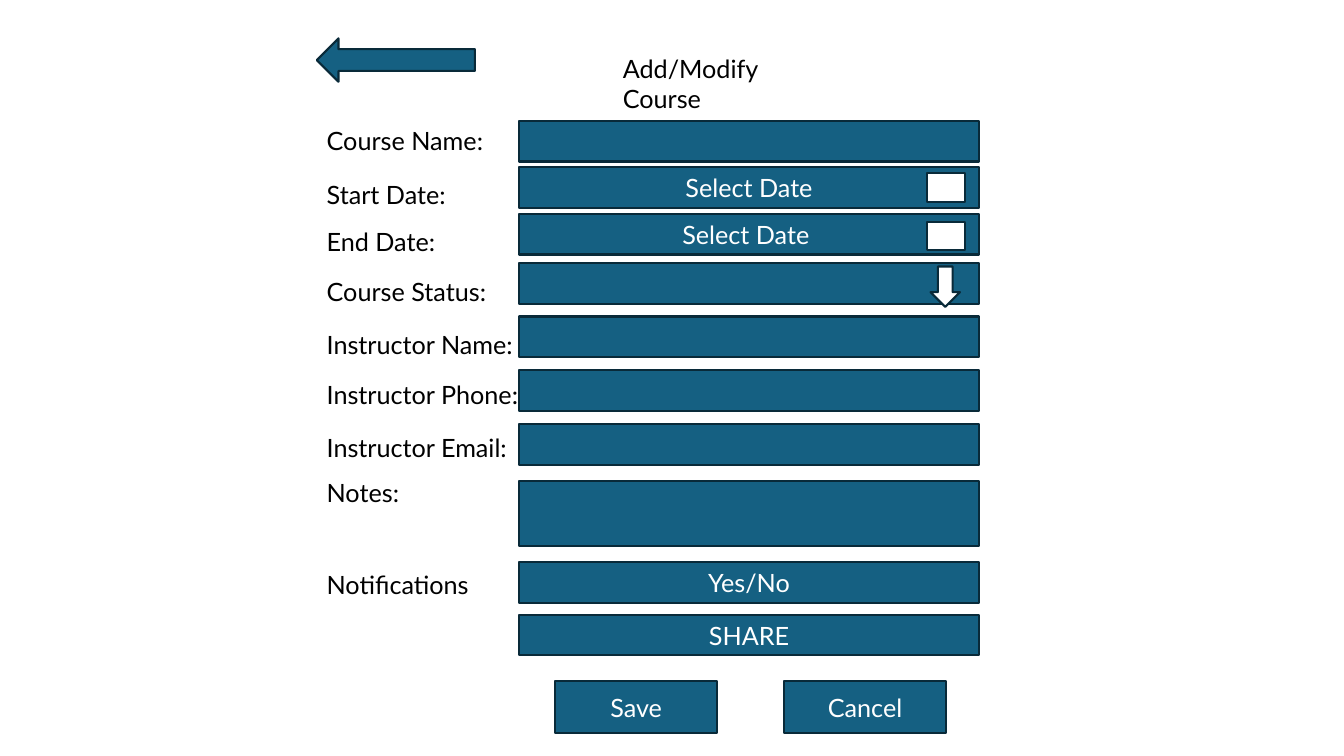
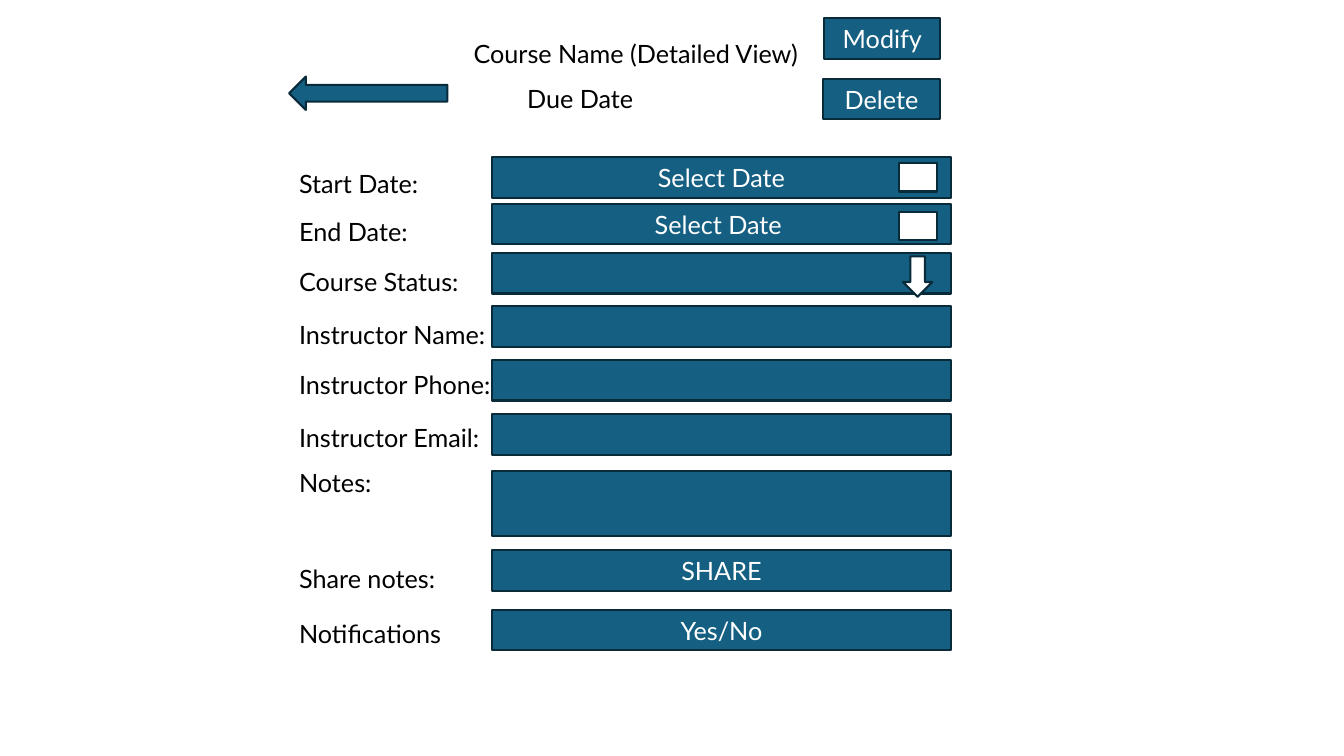
from dataclasses import dataclass

from pptx import Presentation
from pptx.dml.color import RGBColor
from pptx.enum.shapes import MSO_SHAPE
from pptx.enum.text import MSO_ANCHOR, MSO_AUTO_SIZE, PP_ALIGN
from pptx.util import Pt

COLORS = {"field": "156082", "edge": "092A39", "icon": "FFFFFF",
          "light": "FFFFFF", "dark": "000000"}
FONT = "Lato"
FONT_SIZE = 18
FIELD_OFFSET = 144.6
FIELD_WIDTH = 328.3
FIELD_HEIGHT = 29
LABEL_WIDTH = 163.5
LABEL_HEIGHT = 36.7


@dataclass
class Row:
    """One form row; its heights on the page count from the Start Date field."""
    label: str
    label_top: float
    field_top: float
    text: str = ""
    icon: str = ""
    icon_top: float = 0
    height: float = FIELD_HEIGHT


SHARED_ROWS = [
    Row("Start Date:", -4.7, 0, "Select Date", "calendar", 4.3),
    Row("End Date:", 29, 33.3, "Select Date ", "calendar", 5.8),
    Row("Course Status:", 65, 68.4, icon="arrow", icon_top=2.5),
    Row("Instructor Name:", 103, 106.6),
    Row("Instructor Phone:", 138.2, 144.8),
    Row("Instructor Email:", 176.4, 183.6),
    Row("Notes:", 208.8, 223.9, height=46.4),
]
EDIT_ROWS = [
    Row("Course Name:", -43, -33.1),
    *SHARED_ROWS,
    Row("Notifications", 274.5, 282.2, "Yes/No"),
    Row("", 0, 319.7, "SHARE"),
]
DETAIL_ROWS = [
    *SHARED_ROWS,
    Row("Share notes:", 277.2, 280.8, "SHARE"),
    Row("Notifications", 316.1, 323.3, "Yes/No"),
]
ICONS = {
    "calendar": (MSO_SHAPE.RECTANGLE, 291, 27.4, 20.2),
    "arrow": (MSO_SHAPE.DOWN_ARROW, 293.8, 21, 28.8),
}


def rgb(name):
    return RGBColor.from_string(COLORS[name])


def write(shape, text, color, alignment, spacing=None):
    shape.text_frame.word_wrap = True
    para = shape.text_frame.paragraphs[0]
    para.text = text
    para.alignment = alignment
    if spacing:
        para.line_spacing = spacing
    para.font.name = FONT
    para.font.size = Pt(FONT_SIZE)
    para.font.color.rgb = rgb(color)


def add_block(page, kind, left, top, width, height, text="", fill="field"):
    block = page.shapes.add_shape(kind, Pt(left), Pt(top), Pt(width), Pt(height))
    block.shadow.inherit = False
    block.fill.solid()
    block.fill.fore_color.rgb = rgb(fill)
    block.line.color.rgb = rgb("edge")
    block.line.width = Pt(1.5)
    if text:
        block.text_frame.vertical_anchor = MSO_ANCHOR.MIDDLE
        write(block, text, "light", PP_ALIGN.CENTER)


def add_text(page, text, left, top, width, height=29,
             anchor=MSO_ANCHOR.TOP, spacing=None):
    box = page.shapes.add_textbox(Pt(left), Pt(top), Pt(width), Pt(height))
    write(box, text, "dark", PP_ALIGN.LEFT, spacing)
    box.text_frame.vertical_anchor = anchor
    box.text_frame.auto_size = MSO_AUTO_SIZE.SHAPE_TO_FIT_TEXT


def add_row(page, row, left, top):
    if row.label:
        add_text(page, row.label, left, top + row.label_top, LABEL_WIDTH,
                 LABEL_HEIGHT, MSO_ANCHOR.MIDDLE, 1.5)
    field_left = left + FIELD_OFFSET
    field_top = top + row.field_top
    add_block(page, MSO_SHAPE.RECTANGLE, field_left, field_top,
              FIELD_WIDTH, row.height, row.text)
    if row.icon:
        kind, offset, width, height = ICONS[row.icon]
        add_block(page, kind, field_left + offset, field_top + row.icon_top,
                  width, height, fill="icon")


def add_form(page, rows, left, top):
    for row in rows:
        add_row(page, row, left, top)


def add_back_arrow(page, left, top, height):
    add_block(page, MSO_SHAPE.LEFT_ARROW, left, top, 113, height)


def add_buttons(page, buttons, width, height):
    for text, left, top in buttons:
        add_block(page, MSO_SHAPE.RECTANGLE, left, top, width, height, text)


def add_edit_page(deck):
    page = deck.slides.add_slide(deck.slide_layouts[6])
    left = 226.3
    add_back_arrow(page, left, 27.4, 31)
    add_text(page, "Add/Modify Course", 437.8, 34.6, 160)
    add_form(page, EDIT_ROWS, left, 119.5)
    add_buttons(page, [("Save", 396.7, 486.7), ("Cancel", 560.2, 486.7)], 115.4, 36.8)


def add_detail_page(deck):
    page = deck.slides.add_slide(deck.slide_layouts[6])
    left = 206.6
    add_back_arrow(page, left, 54.7, 23.8)
    add_text(page, "Course Name (Detailed View)", 331.2, 23.8, 254.2)
    add_text(page, "Due Date", 369.4, 56.2, 165)
    add_form(page, DETAIL_ROWS, left, 112.3)
    add_buttons(page, [("Modify", 588.8, 12.9), ("Delete", 588.2, 56.2)], 83, FIELD_HEIGHT)


def main():
    deck = Presentation()
    deck.slide_width = Pt(960)
    deck.slide_height = Pt(540)
    add_edit_page(deck)
    add_detail_page(deck)
    deck.save("out.pptx")


if __name__ == "__main__":
    main()
